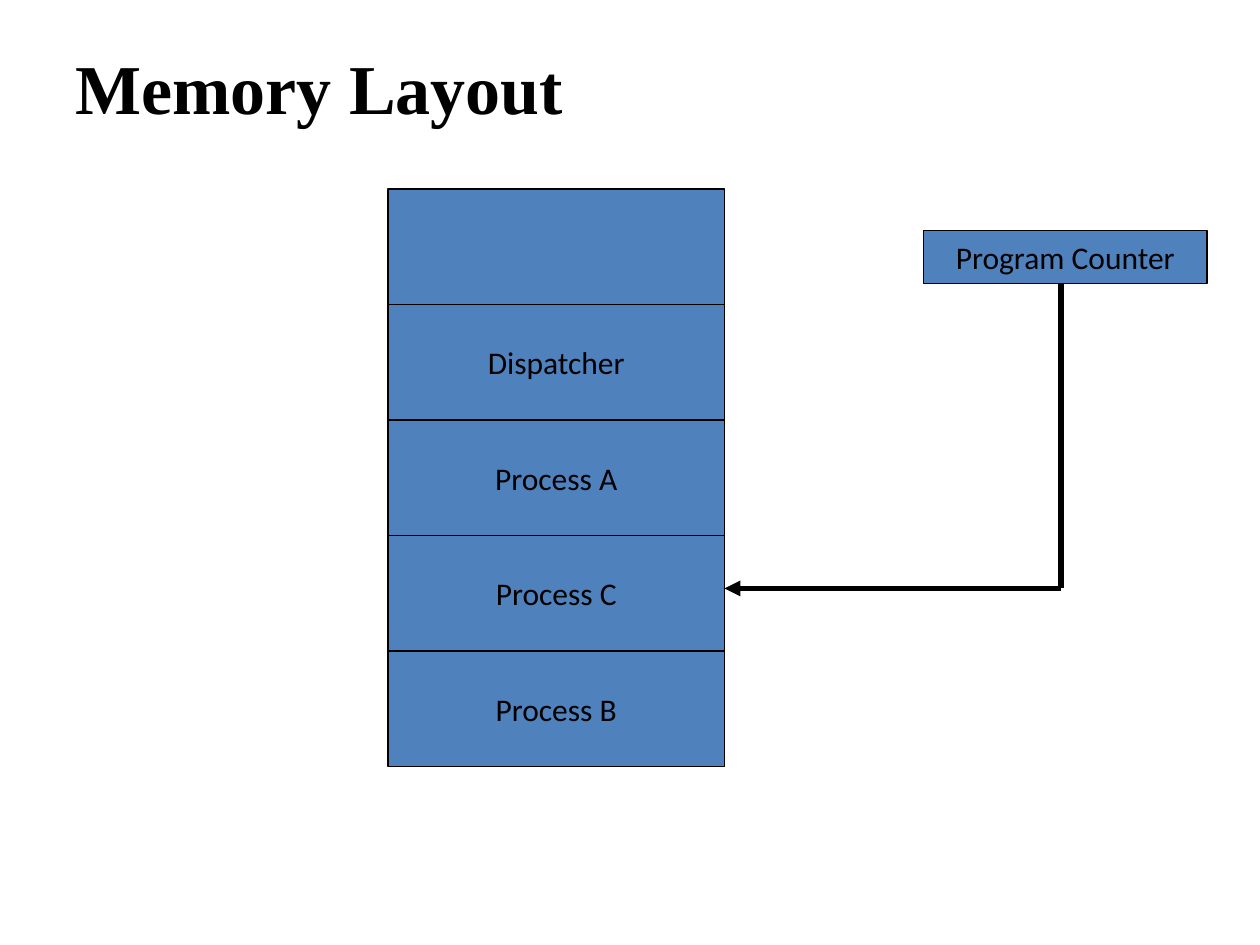
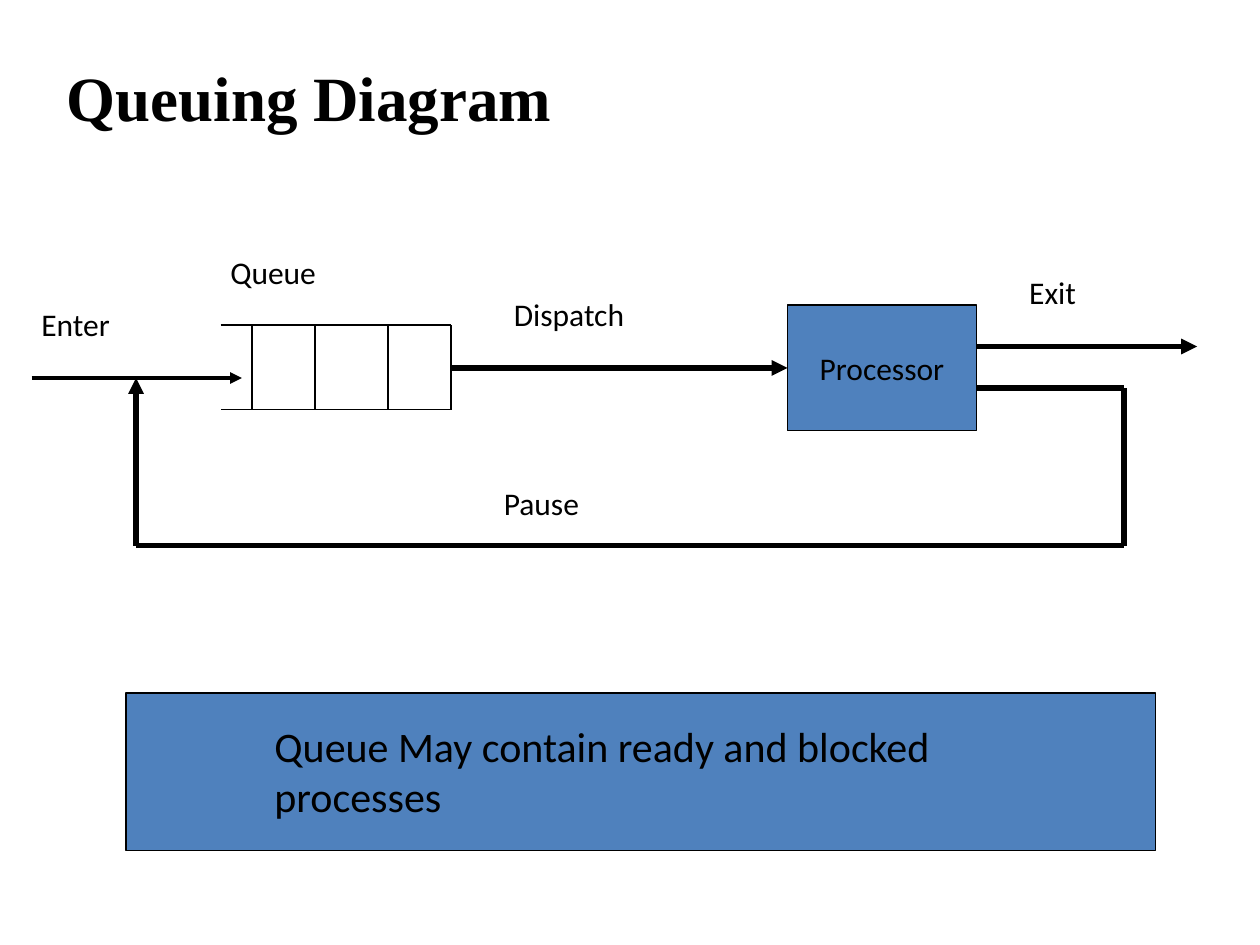
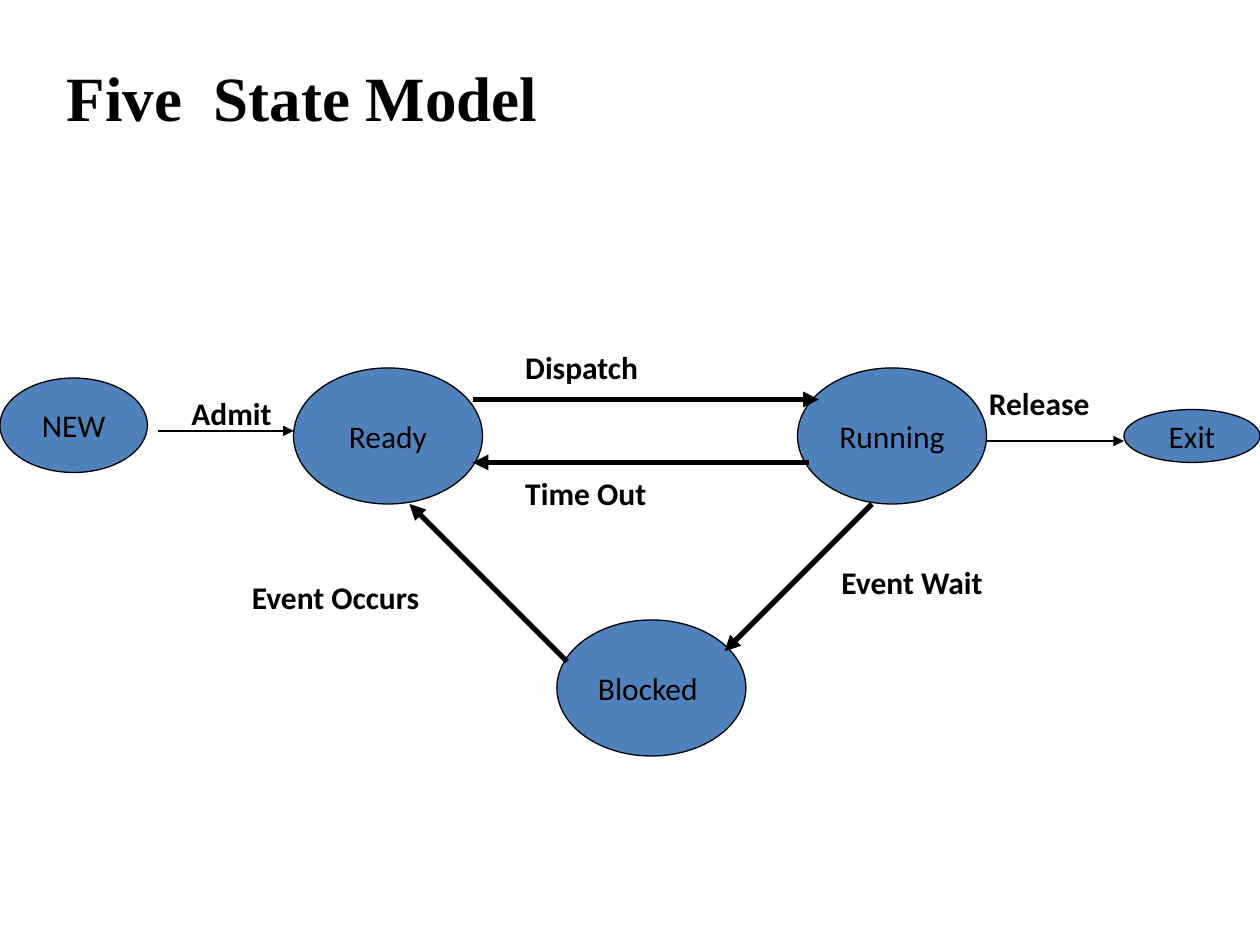
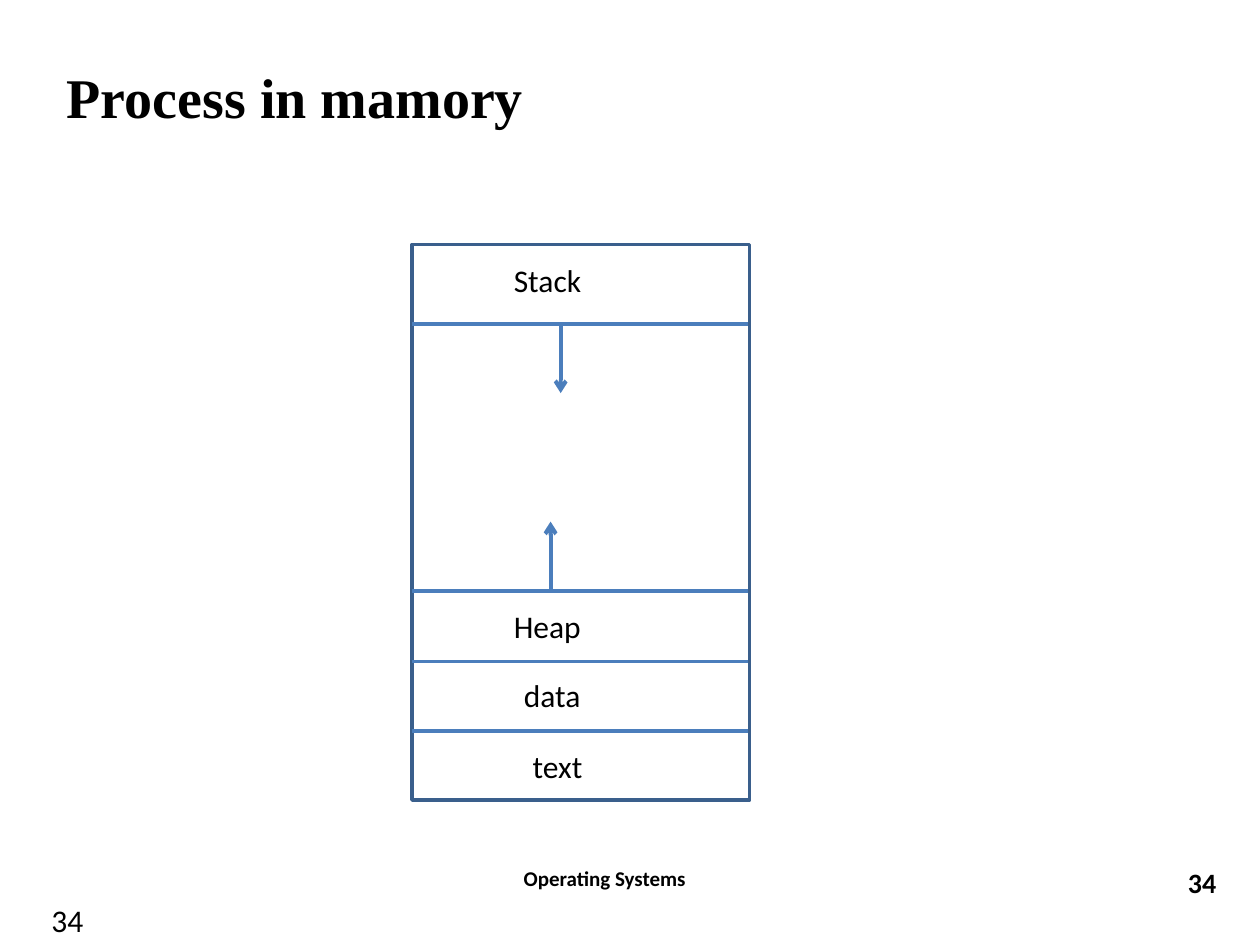
from itertools import pairwise

from lxml.etree import SubElement
from pptx import Presentation
from pptx.dml.color import RGBColor
from pptx.enum.shapes import MSO_CONNECTOR as Connector, MSO_SHAPE as Shape
from pptx.enum.text import MSO_ANCHOR as Anchor, MSO_AUTO_SIZE as AutoSize, PP_ALIGN as Align
from pptx.oxml.ns import qn
from pptx.util import Inches, Pt

BLACK = RGBColor(0x00, 0x00, 0x00)
WHITE = RGBColor(0xFF, 0xFF, 0xFF)
BLUE = RGBColor(0x4F, 0x81, 0xBD)
FRAME_BLUE = RGBColor(0x3A, 0x5F, 0x8C)
RULE_BLUE = RGBColor(0x4B, 0x7E, 0xBC)

BODY_FONT = "Calibri"
TITLE_FONT = "Times New Roman"
TITLE_PLACE = (0.43, 0.3, 6.69, 0.93)
TITLE_ONLY = 5
THIN, MEDIUM, THICK = 0.75, 2.25, 3


# Shared elements
def write(frame, text, size=18, bold=False, align=Align.LEFT, font=BODY_FONT):
    frame.text = text
    para = frame.paragraphs[0]
    para.alignment = align
    para.font.name = font
    para.font.size = Pt(size)
    para.font.bold = bold
    para.font.color.rgb = BLACK


def add_page(deck, title, size=36, place=TITLE_PLACE):
    page = deck.slides.add_slide(deck.slide_layouts[TITLE_ONLY])
    box = page.shapes.title
    box.left, box.top, box.width, box.height = map(Inches, place)
    frame = box.text_frame
    frame.auto_size = AutoSize.NONE
    frame.vertical_anchor = Anchor.MIDDLE
    write(frame, title, size, bold=True, font=TITLE_FONT)
    return page


def add_label(page, text, left, top, width, height=0.4, **style):
    box = page.shapes.add_textbox(*map(Inches, (left, top, width, height)))
    box.text_frame.word_wrap = True
    write(box.text_frame, text, **style)


def add_node(page, text, left, top, width, height, kind=Shape.RECTANGLE,
             fill=BLUE, line=BLACK, weight=THIN):
    node = page.shapes.add_shape(kind, *map(Inches, (left, top, width, height)))
    node.shadow.inherit = False
    node.fill.solid()
    node.fill.fore_color.rgb = fill
    node.line.color.rgb = line
    node.line.width = Pt(weight)
    if text:
        node.text_frame.word_wrap = False
        node.text_frame.vertical_anchor = Anchor.MIDDLE
        write(node.text_frame, text, align=Align.CENTER)
    return node


def add_line(page, start, end, weight=THICK, color=BLACK, head=None):
    line = page.shapes.add_connector(Connector.STRAIGHT, *map(Inches, (*start, *end)))
    line.line.color.rgb = color
    line.line.width = Pt(weight)
    if head:
        SubElement(line.line._get_or_add_ln(), qn("a:tailEnd"), type=head)
    SubElement(line._element.spPr, qn("a:effectLst"))
    return line


def add_route(page, *points, weight=THICK, head=None):
    """Straight segments through the points, with the arrowhead on the last."""
    for start, end in pairwise(points):
        add_line(page, start, end, weight, head=head if end == points[-1] else None)


# Slides
def memory_layout(deck):
    page = add_page(deck, "Memory Layout", 40, (0.5, 0.3, 9, 0.78))
    blocks = ("", "Dispatcher", "Process A", "Process C", "Process B")
    pitch = 5.5 / 6
    for row, name in enumerate(blocks):
        add_node(page, name, 3.08, 1.5 + row * pitch, 2.67, pitch)
    add_node(page, "Program Counter", 7.33, 1.83, 2.25, 0.42)
    add_route(page, (8.42, 2.25), (8.42, 4.67), (5.75, 4.67), head="triangle")


def queuing_diagram(deck):
    page = add_page(deck, "Queuing Diagram")

    # Queue, open on the left
    left, right, top, bottom = 1.75, 3.58, 2.58, 3.25
    add_route(page, (left, top), (right, top), (right, bottom), (left, bottom), weight=THIN)
    for divider in (3.08, 2.5, 2):
        add_line(page, (divider, top), (divider, bottom), THIN)

    # Flow through the processor and back
    add_line(page, (0.25, 3), (1.92, 3), MEDIUM, head="triangle")
    processor = add_node(page, "Processor", 6.25, 2.42, 1.5, 1)
    dispatch = add_line(page, (right, 2.92), (6.25, 2.92), head="triangle")
    dispatch.end_connect(processor, 1)
    add_line(page, (7.75, 2.75), (9.5, 2.75), head="triangle")
    add_route(page, (7.75, 3.08), (8.92, 3.08), (8.92, 4.33), (1.08, 4.33), (1.08, 3),
              head="triangle")

    for text, x, y, width in (
        ("Enter", 0.23, 2.37, 0.8),
        ("Dispatch", 3.98, 2.29, 1.17),
        ("Exit", 8.07, 2.12, 0.62),
        ("Pause", 3.9, 3.79, 0.91),
        ("Queue", 1.73, 1.96, 0.95),
    ):
        add_label(page, text, x, y, width)

    # Remark
    add_node(page, "", 1, 5.5, 8.17, 1.25)
    add_label(page, "Queue May contain ready and blocked processes", 2.08, 5.67, 5.69, 0.9,
              size=24)


def five_state_model(deck):
    page = add_page(deck, "Five  State Model")

    # States
    for name, *place in (
        ("Ready", 2.33, 2.92, 1.5, 1.08),
        ("Running", 6.33, 2.92, 1.5, 1.08),
        ("Blocked ", 4.42, 4.92, 1.5, 1.08),
        ("NEW", 0, 3, 1.17, 0.75),
        ("Exit", 8.92, 3.25, 1.08, 0.42),
    ):
        add_node(page, name, *place, kind=Shape.OVAL)

    # Transitions: arrow, then label place
    for name, start, end, weight, place in (
        ("Admit", (1.25, 3.42), (2.33, 3.42), THIN, (1.42, 3.08, 1.08)),
        ("Release", (7.83, 3.5), (8.92, 3.5), THIN, (7.75, 3, 1.15)),
        ("Dispatch", (3.75, 3.17), (6.5, 3.17), THICK, (4.07, 2.71, 1.26)),
        ("Time Out", (6.42, 3.67), (3.75, 3.67), THICK, (4.07, 3.71, 1.28)),
        ("Event Wait", (6.92, 4), (5.75, 5.17), THICK, (6.58, 4.42, 1.58)),
        ("Event Occurs", (4.5, 5.25), (3.25, 4), THICK, (1.9, 4.54, 1.81)),
    ):
        add_line(page, start, end, weight, head="triangle")
        add_label(page, name, *place, bold=True)


def process_in_memory(deck):
    page = add_page(deck, "Process in mamory", 32)

    # Memory frame and its dividers
    left, right = 3.27, 5.94
    stack_end, heap_start = 2.57, 4.69
    add_node(page, "", left, 1.94, 2.68, 4.41, fill=WHITE, line=FRAME_BLUE, weight=2)
    for y in (stack_end, heap_start, 5.25, 5.8):
        add_line(page, (left, y), (right, y), MEDIUM, RULE_BLUE)
    for text, x, y in (("Stack", 3.98, 2.02), ("Heap", 3.98, 4.77),
                       ("data", 4.06, 5.32), ("text", 4.13, 5.88)):
        add_label(page, text, x, y, 1.1)

    # Directions of growth
    growth = 0.55
    for x, y, tip in ((4.45, stack_end, stack_end + growth),
                      (4.37, heap_start, heap_start - growth)):
        add_line(page, (x, y), (x, tip), MEDIUM, RULE_BLUE, "arrow")

    # Footer
    add_label(page, "34", 0.31, 7.1, 1.02)
    add_label(page, "Operating Systems", 2.4, 6.82, 4.8, size=12, bold=True, align=Align.CENTER)
    add_label(page, "34", 9.33, 6.82, 0.67, 0.32, size=16, bold=True)


def main():
    deck = Presentation()
    deck.slide_width, deck.slide_height = Inches(10), Inches(7.5)
    for build in (memory_layout, queuing_diagram, five_state_model, process_in_memory):
        build(deck)
    deck.save("out.pptx")


if __name__ == "__main__":
    main()
